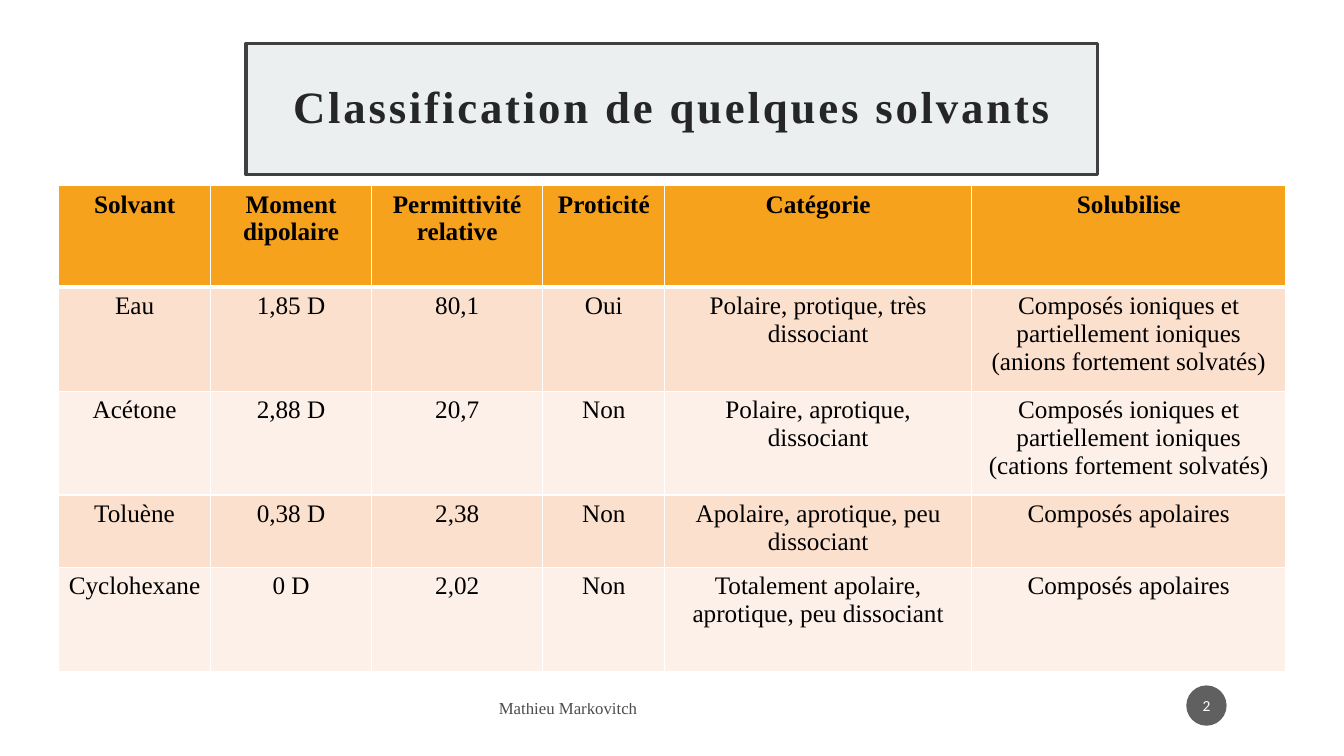
import pptx
import pptx.dml.color
import pptx.enum.shapes
import pptx.enum.text
import pptx.oxml
import pptx.oxml.ns
import pptx.util

Pt = pptx.util.Pt
Align = pptx.enum.text.PP_ALIGN
Anchor = pptx.enum.text.MSO_ANCHOR
SERIF = "Times New Roman"


def paint(target, tint, alpha=None):
    target.rgb = pptx.dml.color.RGBColor.from_string(tint)
    if alpha:
        node = target._xFill.find(pptx.oxml.ns.qn("a:srgbClr"))
        node.append(pptx.oxml.parse_xml(
            f'<a:alpha {pptx.oxml.ns.nsdecls("a")} val="{alpha * 1000}"/>'))


def write(frame, text, size, font, tint, bold=False, align=Align.CENTER, alpha=None):
    para = frame.paragraphs[0]
    para.alignment = align
    run = para.add_run()
    run.text = text
    run.font.size = Pt(size)
    run.font.name = font
    run.font.bold = bold
    paint(run.font.color, tint)
    if alpha:
        node = run._r.xpath(".//a:srgbClr")[0]
        node.append(pptx.oxml.parse_xml(
            f'<a:alpha {pptx.oxml.ns.nsdecls("a")} val="{alpha * 1000}"/>'))
    return run


deck = pptx.Presentation()
deck.slide_width, deck.slide_height = Pt(960), Pt(540)
slide = deck.slides.add_slide(deck.slide_layouts[5])

title = slide.shapes.title
title.left, title.top, title.width, title.height = Pt(175.7), Pt(31), Pt(608.4), Pt(93.6)
title.fill.solid()
paint(title.fill.fore_color, "EBEFF0")
title.line.width = Pt(2.5)
paint(title.line.color, "404040")
frame = title.text_frame
frame.auto_size = pptx.enum.text.MSO_AUTO_SIZE.NONE
frame.word_wrap = True
frame.vertical_anchor = Anchor.MIDDLE
frame.margin_left = frame.margin_right = Pt(14.4)
frame.margin_top = frame.margin_bottom = Pt(14.4)
run = write(frame, "Classification de quelques solvants", 32, SERIF, "262626", True)
run._r.get_or_add_rPr().set("spc", "200")
frame.paragraphs[0].line_spacing = 0.9

rows = [
    ["Solvant", "Moment dipolaire", "Permittivité relative", "Proticité",
     "Catégorie", "Solubilise"],
    ["Eau", "1,85 D", "80,1", "Oui", "Polaire, protique, très dissociant",
     "Composés ioniques et partiellement ioniques (anions fortement solvatés)"],
    ["Acétone", "2,88 D", "20,7", "Non", "Polaire, aprotique, dissociant",
     "Composés ioniques et partiellement ioniques (cations fortement solvatés)"],
    ["Toluène", "0,38 D", "2,38", "Non", "Apolaire, aprotique, peu dissociant",
     "Composés apolaires"],
    ["Cyclohexane", "0 D", "2,02", "Non",
     "Totalement apolaire, aprotique, peu dissociant", "Composés apolaires"],
]
wide = [108.7, 114.9, 122.4, 87.1, 219.1, 224.6]
high = [72.7, 74.2, 74.2, 51.8, 74.2]
grid = slide.shapes.add_table(
    len(rows), len(wide), Pt(41.8), Pt(132.5), Pt(sum(wide)), Pt(sum(high))).table
grid.horz_banding = False
for col, size in zip(grid.columns, wide):
    col.width = Pt(size)
for row, size in zip(grid.rows, high):
    row.height = Pt(size)

for i, row in enumerate(rows):
    tint = "F6A21D" if i == 0 else "FBE0CD" if i % 2 else "FDF0E8"
    edges = {"L": 1, "R": 1, "T": 3 if i == 1 else 1, "B": 3 if i == 0 else 1}
    for j, text in enumerate(row):
        cell = grid.cell(i, j)
        write(cell.text_frame, text, 18, SERIF, "000000", i == 0)
        cell.fill.solid()
        paint(cell.fill.fore_color, tint)
        props = cell._tc.get_or_add_tcPr()
        for k, (side, size) in enumerate(edges.items()):
            props.insert(k, pptx.oxml.parse_xml(
                f'<a:ln{side} {pptx.oxml.ns.nsdecls("a")} w="{Pt(size)}">'
                '<a:solidFill><a:srgbClr val="FFFFFF"/></a:solidFill>'
                f'</a:ln{side}>'))

foot = slide.shapes.add_textbox(Pt(349.2), Pt(493.2), Pt(123.8), Pt(25.2)).text_frame
foot.word_wrap = True
foot.vertical_anchor = Anchor.MIDDLE
write(foot, "Mathieu Markovitch", 12, SERIF, "000000", align=Align.LEFT, alpha=70)

badge = slide.shapes.add_shape(
    pptx.enum.shapes.MSO_SHAPE.OVAL, Pt(847.4), Pt(489.6), Pt(28.8), Pt(28.8))
badge.shadow.inherit = False
badge.fill.solid()
paint(badge.fill.fore_color, "1D1D1D", 70)
badge.line.fill.background()
frame = badge.text_frame
frame.vertical_anchor = Anchor.MIDDLE
frame.margin_left = frame.margin_right = Pt(1.4)
frame.margin_top = frame.margin_bottom = Pt(3.6)
write(frame, "2", 11, "Calibri", "FFFFFF")

deck.save("out.pptx")
